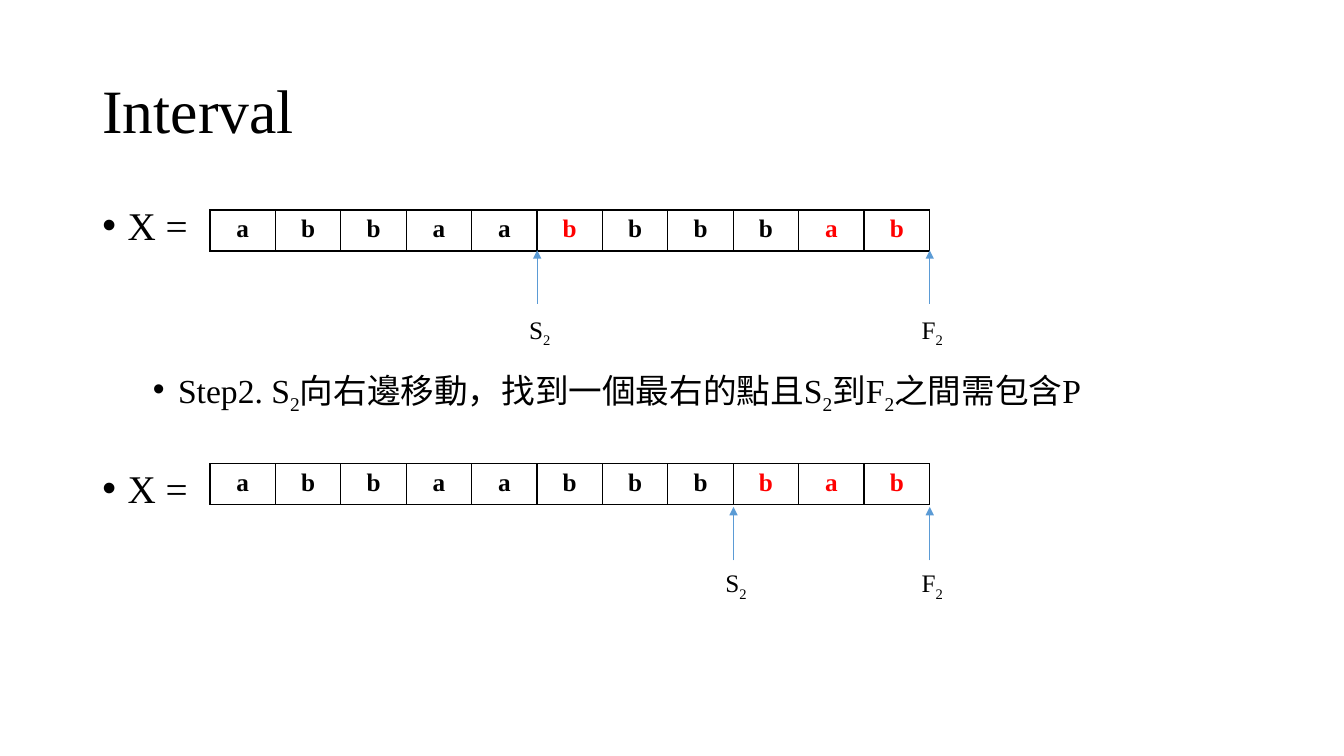
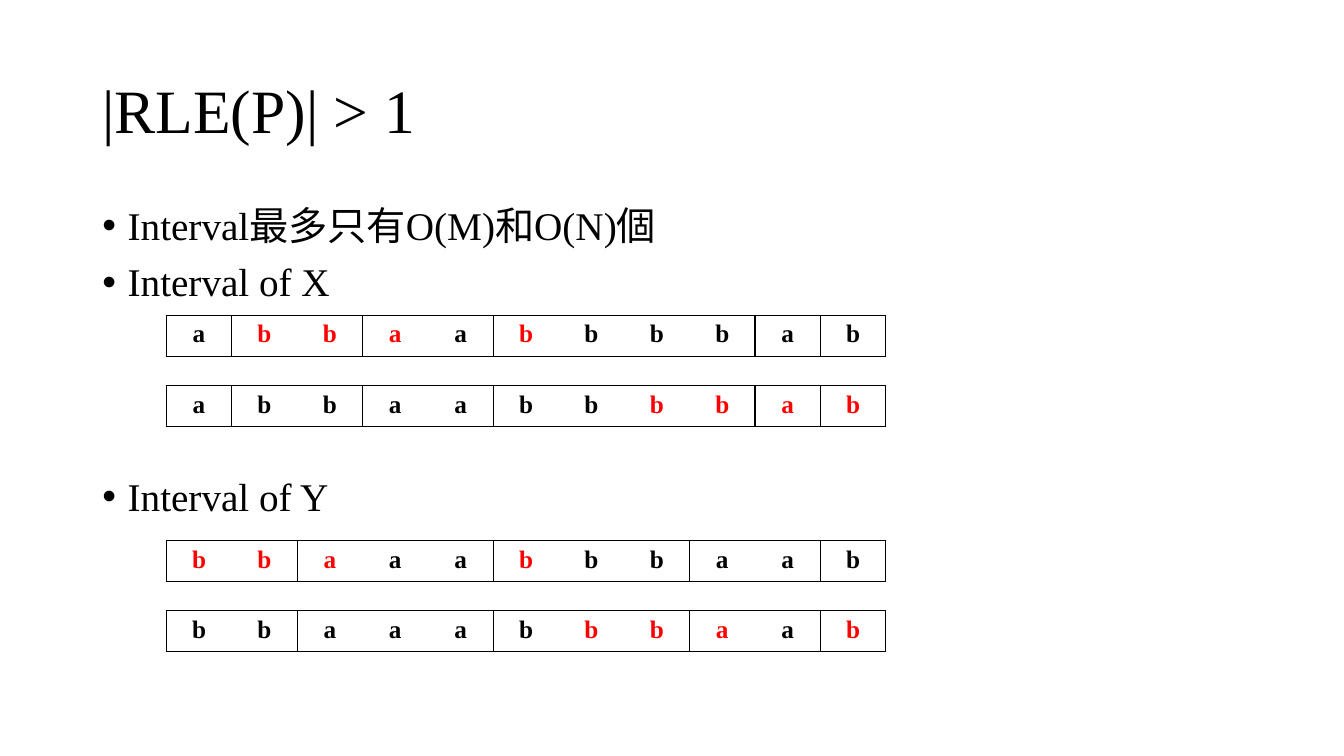
from dataclasses import dataclass
from lxml import etree
from pptx import Presentation
from pptx.dml import color
from pptx.enum import shapes, text
from pptx.oxml import ns
from pptx.util import Inches, Pt


@dataclass(frozen=True)
class Theme:
    face: str = "Times New Roman"
    ink: str = "000000"
    mark: str = "FF0000"
    arrow: str = "5B9BD5"
    title: int = 44
    levels: tuple = (28, 24)
    cell: int = 18
    rule: float = 1
    thin: float = 0.5
    tight: float = 0.9


COLS, ROWS = 160, 90
CELL, ROW = 7.79, 4.88
STEM, SHIFT = 6.35, 2.15


def rgb(code):
    return color.RGBColor.from_string(code)


def apply(item, **values):
    for name, value in values.items():
        setattr(item, name, value)


def node(root, tag, **values):
    return etree.SubElement(root, ns.qn("a:" + tag), **values)


class Deck:
    def __init__(self, theme):
        self.theme = theme
        self.show = Presentation()
        apply(self.show, slide_width=Inches(13.333), slide_height=Inches(7.5))
        self.page = None

    def grid(self, x, y):
        return (round(x * self.show.slide_width / COLS),
                round(y * self.show.slide_height / ROWS))

    def box(self, x, y, w, h):
        return self.grid(x, y) + self.grid(w, h)

    def place(self, shape, *area):
        names = ("left", "top", "width", "height")
        apply(shape, **dict(zip(names, self.box(*area))))

    def letter(self, para, words, size, ink=None, bold=False):
        head, *rest = words.split("_")
        parts = [(head, False)]
        for piece in rest:
            parts += [(piece[0], True), (piece[1:], False)]
        for part, low in parts:
            if not part:
                continue
            run = para.add_run()
            run.text = part
            apply(run.font, name=self.theme.face, size=Pt(size), bold=bold)
            run.font.color.rgb = rgb(ink or self.theme.ink)
            if low:
                run._r.get_or_add_rPr().set("baseline", "-25000")

    def slide(self, title):
        layout = self.show.slide_layouts[1]
        self.page = self.show.slides.add_slide(layout)
        shape = self.page.shapes.title
        self.place(shape, 11, 4.8, 138, 17.4)
        apply(shape.text_frame, vertical_anchor=text.MSO_ANCHOR.MIDDLE,
              auto_size=text.MSO_AUTO_SIZE.NONE)
        para = shape.text_frame.paragraphs[0]
        apply(para, alignment=text.PP_ALIGN.LEFT, line_spacing=self.theme.tight)
        self.letter(para, title, self.theme.title)

    def bullets(self, *items):
        shape = self.page.placeholders[1]
        self.place(shape, 11, 24, 138, 57.1)
        frame = shape.text_frame
        frame.auto_size = text.MSO_AUTO_SIZE.NONE
        for i, (level, gap, words) in enumerate(items):
            para = frame.add_paragraph() if i else frame.paragraphs[0]
            props = para._p.get_or_add_pPr()
            props.set("marL", str(Inches(0.25 + 0.5 * level)))
            props.set("indent", str(-Inches(0.25)))
            node(props, "buFont", typeface="Arial")
            node(props, "buChar", char="•")
            apply(para, level=level, space_before=Pt(gap),
                  line_spacing=self.theme.tight)
            self.letter(para, words, self.theme.levels[level])

    def edge(self, props, order, side, shown):
        line = etree.Element(ns.qn("a:ln" + side), w=str(Pt(self.theme.rule)))
        if shown:
            node(node(line, "solidFill"), "srgbClr", val=self.theme.ink)
        else:
            node(line, "noFill")
        props.insert(order, line)

    def strip(self, x, y, code):
        marks = [(mark, i == 0, i == len(group) - 1)
                 for group in code.split("|") for i, mark in enumerate(group)]
        area = self.box(x, y, CELL * len(marks), ROW)
        table = self.page.shapes.add_table(1, len(marks), *area).table
        apply(table, first_row=False, horz_banding=False)
        for i, (mark, first, last) in enumerate(marks):
            cell = table.cell(0, i)
            cell.fill.background()
            para = cell.text_frame.paragraphs[0]
            para.alignment = text.PP_ALIGN.CENTER
            ink = self.theme.mark if mark.isupper() else self.theme.ink
            self.letter(para, mark.lower(), self.theme.cell, ink, True)
            props = cell._tc.get_or_add_tcPr()
            sides = (("L", first), ("R", last), ("T", True), ("B", True))
            for order, (side, shown) in enumerate(sides):
                self.edge(props, order, side, shown)

    def arrow(self, x, y):
        ends = self.grid(x, y + STEM) + self.grid(x, y)
        line = self.page.shapes.add_connector(
            shapes.MSO_CONNECTOR.STRAIGHT, *ends)
        line.line.color.rgb = rgb(self.theme.arrow)
        line.line.width = Pt(self.theme.thin)
        node(line.line._get_or_add_ln(), "tailEnd", type="triangle")
        node(line._element.spPr, "effectLst")

    def label(self, x, y, words):
        shape = self.page.shapes.add_textbox(*self.box(x, y, 8, 4.8))
        shape.text_frame.word_wrap = True
        self.letter(shape.text_frame.paragraphs[0], words, self.theme.cell)

    def point(self, x, tip, base, words):
        self.arrow(x, tip)
        self.label(x - SHIFT, base, words)


def main():
    deck = Deck(Theme())

    deck.slide("Interval")
    deck.bullets(
        (0, 0, "X ="),
        (1, 86.5, "Step2. S_2向右邊移動，找到一個最右的點且S_2到F_2之間需包含P"),
        (0, 41.5, "X ="))
    left = 25
    for top, tip, base, start, code in (
            (25, 29.8, 36.85, 5, "a|b|b|a|a|B|b|b|b|A|B"),
            (55.2, 60.35, 67, 8, "a|b|b|a|a|b|b|b|B|A|B")):
        deck.strip(left, top, code)
        for spot, words in ((start, "S_2"), (11, "F_2")):
            deck.point(left + CELL * spot, tip, base, words)

    deck.slide("|RLE(P)| > 1")
    deck.bullets(
        (0, 0, "Interval最多只有O(M)和O(N)個"),
        (0, 10, "Interval of X"),
        (0, 123, "Interval of Y"))
    for top, pair in (
            (37.55, ("a|BB|Aa|Bbbb|a|b", "a|bb|aa|bbBB|A|B")),
            (64.35, ("BB|Aaa|Bbb|aa|b", "bb|aaa|bBB|Aa|B"))):
        for i, code in enumerate(pair):
            deck.strip(19.8, top + 8.35 * i, code)

    deck.show.save("out.pptx")


if __name__ == "__main__":
    main()
